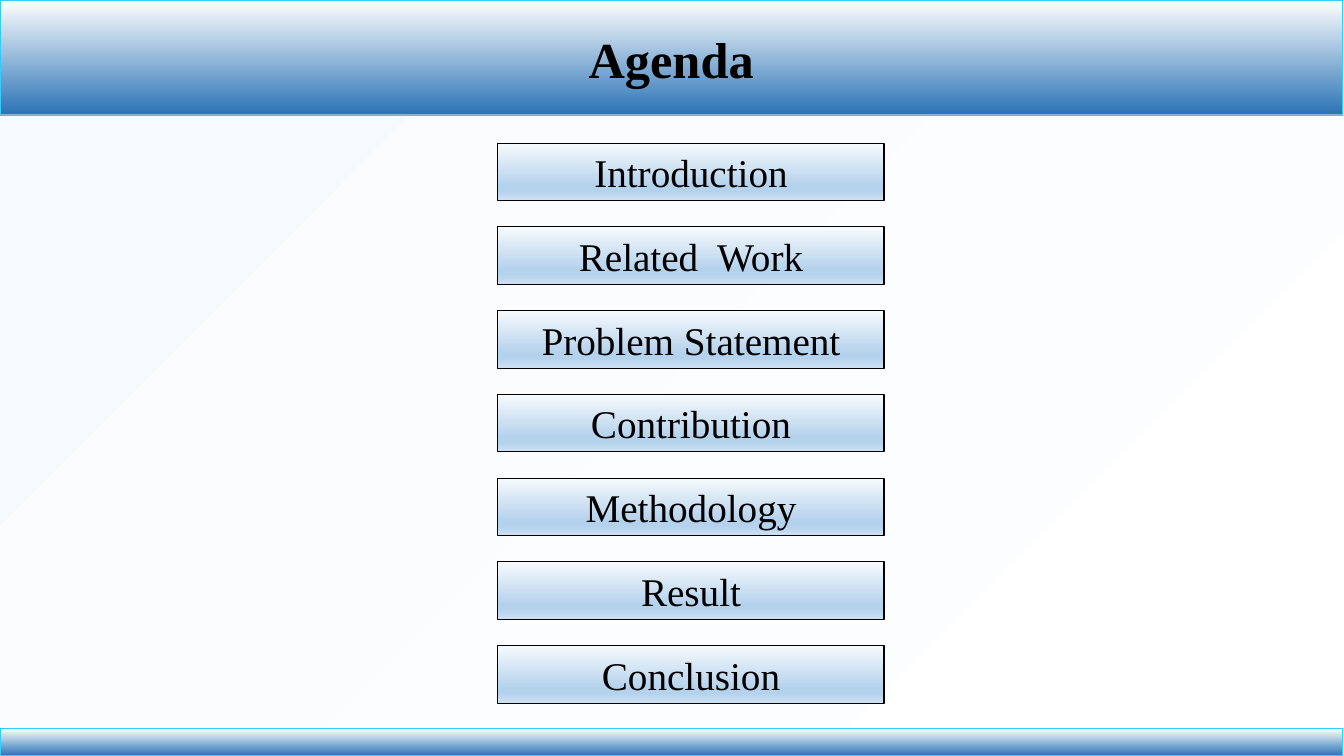
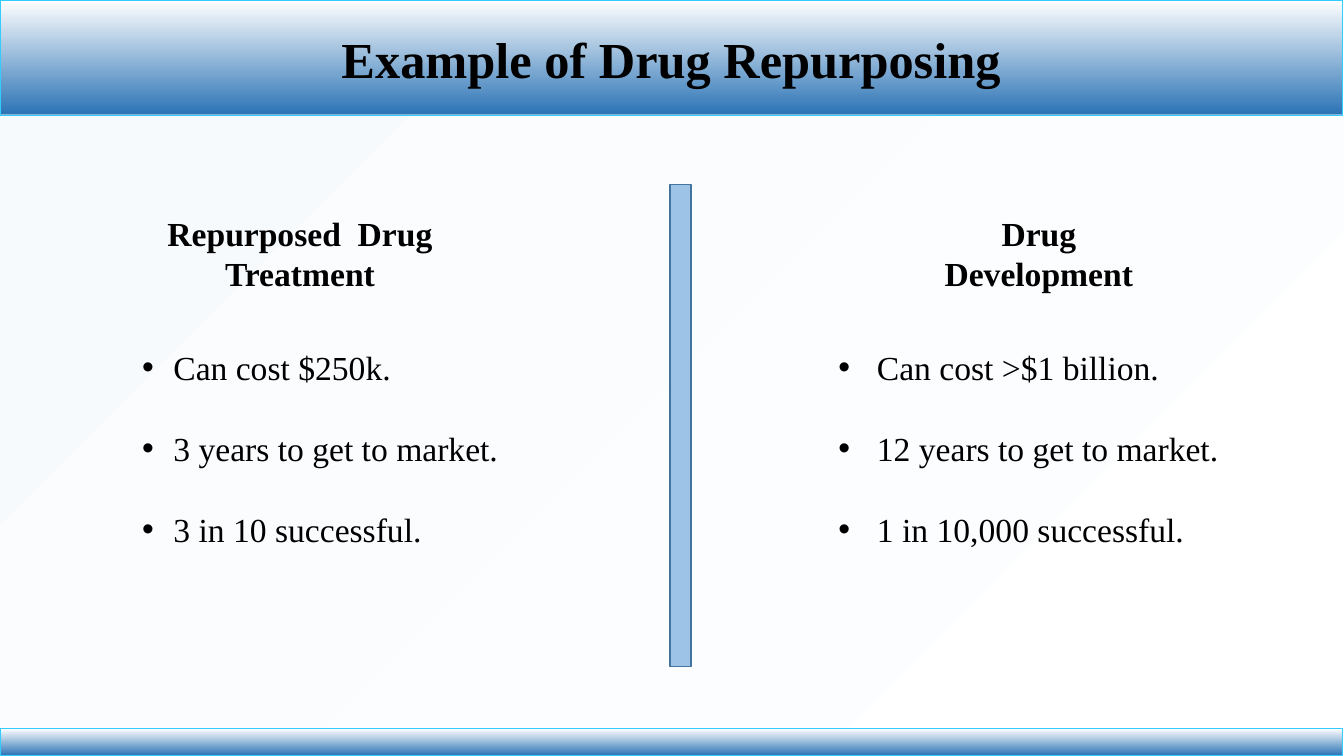
from pptx import Presentation
from pptx.dml.color import RGBColor
from pptx.enum.shapes import MSO_SHAPE
from pptx.enum.text import MSO_ANCHOR, PP_ALIGN
from pptx.oxml import parse_xml
from pptx.oxml.ns import nsdecls, qn
from pptx.util import Cm, Pt

FONT = "Times New Roman"
BLACK = "000000"
BAND_LINE = "33CCFF"
BAR_FILL, BAR_LINE = "9DC3E6", "43739E"
BAND_STOPS = [(0, "FFFFFF"), (98, "2E75B6"), (100, "FBFBFB")]
BUTTON_STOPS = [(0, "F7FAFD"), (74, "B5D2EC"), (83, "B5D2EC"), (100, "CEE1F2")]
PAGE_STOPS = [(0, "F7FAFD"), (100, "FFFFFF")]
DOWNWARD = '<a:lin ang="5400000" scaled="0"/>'
FROM_CORNER = '<a:path path="circle"><a:fillToRect r="100000" b="100000"/></a:path>'


def color(value):
    return RGBColor.from_string(value)


def paint_gradient(fill, parent, stops, direction):
    fill.solid()
    marks = "".join(
        f'<a:gs pos="{position * 1000}"><a:srgbClr val="{value}"/></a:gs>'
        for position, value in stops
    )
    gradient = parse_xml(
        f'<a:gradFill {nsdecls("a")} rotWithShape="1">'
        f"<a:gsLst>{marks}</a:gsLst>{direction}</a:gradFill>"
    )
    parent.replace(parent.find(qn("a:solidFill")), gradient)


class Deck:
    """Holds the shared style and the slide being built."""

    def __init__(self):
        self.presentation = Presentation()
        self.presentation.slide_width = Cm(33.87)
        self.presentation.slide_height = Cm(19.05)
        self.slide = None
        master = self.presentation.slide_master
        fill = master.background.fill
        fill.solid()
        properties = master.element.find(".//" + qn("p:bgPr"))
        paint_gradient(fill, properties, PAGE_STOPS, FROM_CORNER)

    def new_slide(self, title):
        self.slide = self.presentation.slides.add_slide(
            self.presentation.slide_layouts[6]
        )
        header = self.box(0, 0, 33.83, 2.92, BAND_STOPS, BAND_LINE, 1)
        self.set_text(header, [title], 36, bold=True)
        self.box(0, 18.36, 33.83, 0.69, BAND_STOPS, BAND_LINE, 1)

    def box(self, left, top, width, height, fill, line, weight):
        shape = self.slide.shapes.add_shape(
            MSO_SHAPE.RECTANGLE, Cm(left), Cm(top), Cm(width), Cm(height)
        )
        shape.shadow.inherit = False
        if isinstance(fill, str):
            shape.fill.solid()
            shape.fill.fore_color.rgb = color(fill)
        else:
            paint_gradient(shape.fill, shape.element.spPr, fill, DOWNWARD)
        shape.line.color.rgb = color(line)
        shape.line.width = Pt(weight)
        return shape

    def set_text(self, shape, lines, size, bold=False, align=PP_ALIGN.CENTER):
        frame = shape.text_frame
        frame.word_wrap = True
        frame.text = "\n".join(lines)
        for paragraph in frame.paragraphs:
            paragraph.alignment = align
            paragraph.font.name = FONT
            paragraph.font.size = Pt(size)
            paragraph.font.bold = bold
            paragraph.font.color.rgb = color(BLACK)
        return frame

    def button(self, left, top, text):
        shape = self.box(left, top, 9.73, 1.45, BUTTON_STOPS, BLACK, 0.75)
        self.set_text(shape, [text], 28)

    def text_box(self, left, top, width, height):
        return self.slide.shapes.add_textbox(
            Cm(left), Cm(top), Cm(width), Cm(height)
        )

    def heading(self, left, lines):
        self.set_text(self.text_box(left, 5.23, 9.36, 2.31), lines, 24, bold=True)

    def bullets(self, left, indent, items):
        shape = self.text_box(left, 8.61, 11.2, 5.38)
        frame = self.set_text(shape, items, 24, align=PP_ALIGN.LEFT)
        frame.vertical_anchor = MSO_ANCHOR.TOP
        for paragraph in frame.paragraphs:
            paragraph.space_after = Pt(29)
            properties = paragraph._p.get_or_add_pPr()
            properties.set("marL", str(Cm(indent)))
            properties.set("indent", str(-Cm(indent)))
            bullet = [
                f'<a:buFont {nsdecls("a")} typeface="Arial"/>',
                f'<a:buChar {nsdecls("a")} char="•"/>',
            ]
            place = list(properties).index(properties.find(qn("a:defRPr")))
            for offset, xml in enumerate(bullet):
                properties.insert(place + offset, parse_xml(xml))


def build_agenda(deck):
    deck.new_slide("Agenda")
    topics = [
        "Introduction",
        "Related  Work",
        "Problem Statement",
        "Contribution",
        "Methodology",
        "Result",
        "Conclusion",
    ]
    for index, topic in enumerate(topics):
        deck.button(12.55, 3.61 + 2.11 * index, topic)


def build_example(deck):
    deck.new_slide("Example of Drug Repurposing")
    deck.heading(2.88, ["Repurposed  Drug", "Treatment"])
    deck.heading(21.5, ["Drug", "Development"])
    deck.box(16.89, 4.65, 0.53, 12.14, BAR_FILL, BAR_LINE, 1)
    deck.bullets(
        3.33,
        0.79,
        ["Can cost $250k.", "3 years to get to market.", "3 in 10 successful."],
    )
    deck.bullets(
        20.88,
        0.97,
        [
            "Can cost >$1 billion.",
            "12 years to get to market.",
            "1 in 10,000 successful.",
        ],
    )


def main():
    deck = Deck()
    build_agenda(deck)
    build_example(deck)
    deck.presentation.save("out.pptx")


if __name__ == "__main__":
    main()
